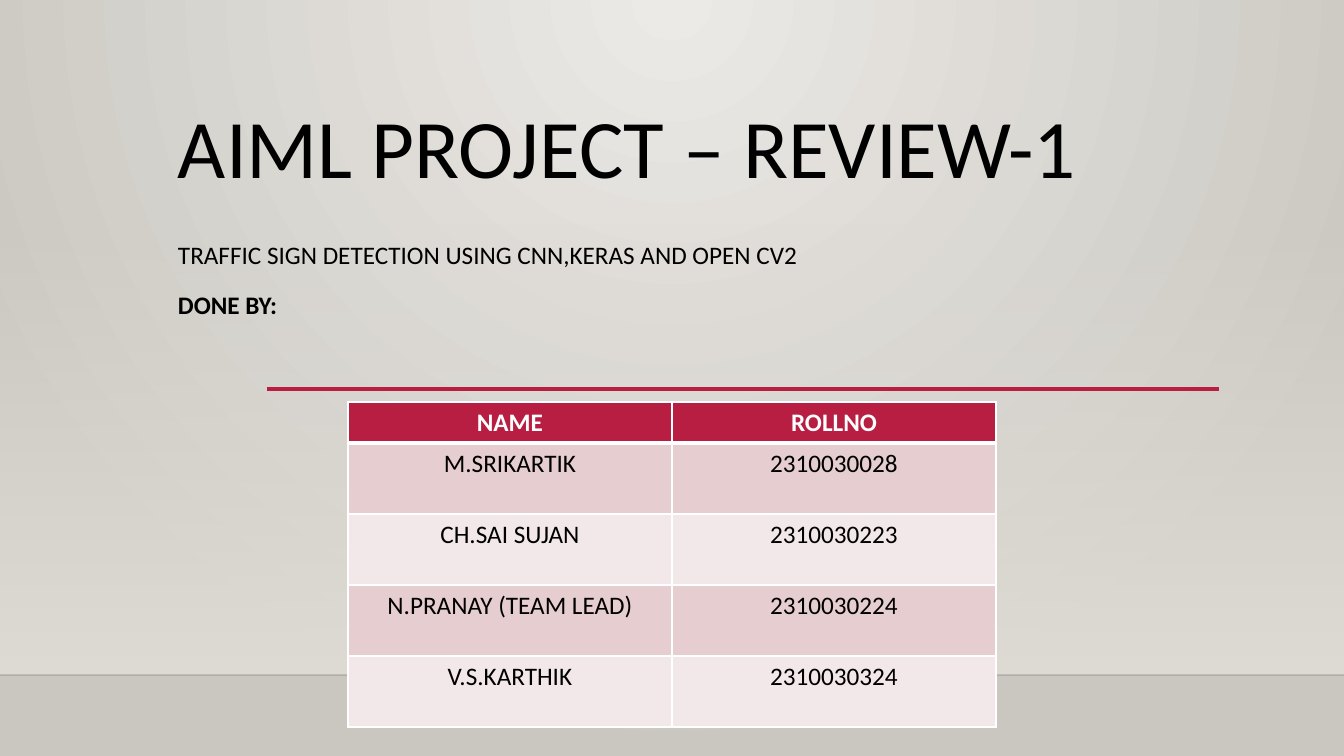
from lxml import etree
from pptx import Presentation
from pptx import util as u
from pptx.dml.color import RGBColor
from pptx.enum import shapes, text
from pptx.oxml import ns

PX = 914400 / 100.8
FONT = "Calibri"
BLACK, WHITE, CRIMSON = "000000", "FFFFFF", "B71E42"
BANDS = ("E6CDCF", "F3E8E9")
MEMBERS = [
    ("NAME", "ROLLNO"),
    ("M.SRIKARTIK", "2310030028"),
    ("CH.SAI SUJAN", "2310030223"),
    ("N.PRANAY (TEAM LEAD)", "2310030224"),
    ("V.S.KARTHIK", "2310030324"),
]


def px(length):
    return u.Emu(round(length * PX))


def rgb(hex_colour):
    return RGBColor.from_string(hex_colour)


def sub(parent, tag, **attributes):
    return etree.SubElement(parent, ns.qn(tag), **attributes)


def set_alpha(element, percent):
    """Make the first RGB colour inside the element partly transparent."""
    colour = next(element.iter(ns.qn("a:srgbClr")))
    sub(colour, "a:alpha", val=str(percent * 1000))


def set_gradient(fill, start, end):
    fill.gradient()
    for stop, (position, colour) in zip(fill.gradient_stops, ((0, start), (1, end))):
        stop.position = position
        stop.color.rgb = rgb(colour)


class ReviewSlide:
    """Holds the slide and the style shared by its elements."""

    def __init__(self, deck):
        self.slide = deck.slides.add_slide(deck.slide_layouts[0])
        self.shapes = self.slide.shapes

    def background(self, centre, edge):
        set_gradient(self.slide.background.fill, centre, edge)
        gradient = next(self.slide.element.iter(ns.qn("a:gradFill")))
        gradient.remove(gradient.find(ns.qn("a:lin")))
        circle = sub(gradient, "a:path", path="circle")
        sub(circle, "a:fillToRect", l="43000", t="0", r="43000", b="100000")

    def fading_wall(self, left, top, width, height, colour):
        """Rectangle that fades in from clear at its top."""
        wall = self.shapes.add_shape(
            shapes.MSO_SHAPE.RECTANGLE, *map(px, (left, top, width, height)))
        wall.shadow.inherit = False
        wall.line.fill.background()
        set_gradient(wall.fill, colour, colour)
        wall.fill.gradient_angle = 270
        set_alpha(wall.element.spPr, 0)

    def rule(self, left, right, y, colour, points, opacity=100):
        rule = self.shapes.add_connector(
            shapes.MSO_CONNECTOR.STRAIGHT, px(left), px(y), px(right), px(y))
        rule.line.color.rgb = rgb(colour)
        rule.line.width = u.Pt(points)
        if opacity < 100:
            set_alpha(rule.element.spPr, opacity)
        sub(rule.element.spPr, "a:effectLst")

    def style_runs(self, paragraph, size, colour=BLACK, bold=False):
        for run in paragraph.runs:
            run.font.name = FONT
            run.font.size = u.Pt(size)
            run.font.bold = bold
            run.font.color.rgb = rgb(colour)

    def placeholder(self, index, box, lines, size, spacing, before, anchor, insets):
        """Fill a placeholder with (wording, bold) lines and bring it to the front."""
        holder = self.slide.placeholders[index]
        holder.left, holder.top, holder.width, holder.height = map(px, box)
        frame = holder.text_frame
        frame.text = "\n".join(wording for wording, _ in lines)
        frame.word_wrap = True
        frame.auto_size = text.MSO_AUTO_SIZE.NONE
        frame.vertical_anchor = anchor
        frame.margin_left = frame.margin_right = px(10)
        frame.margin_top, frame.margin_bottom = map(px, insets)
        for paragraph, (_, bold) in zip(frame.paragraphs, lines):
            paragraph.alignment = text.PP_ALIGN.LEFT
            paragraph.line_spacing = spacing
            paragraph.space_before = u.Pt(before)
            self.style_runs(paragraph, size, bold=bold)
        holder.element.getparent().append(holder.element)

    def cell_borders(self, cell, top, bottom):
        properties = cell._tc.get_or_add_tcPr()
        for side, points in (("L", 1), ("R", 1), ("T", top), ("B", bottom)):
            line = sub(properties, f"a:ln{side}", w=str(u.Pt(points)))
            sub(sub(line, "a:solidFill"), "a:srgbClr", val=WHITE)

    def table(self, left, top, column, header, row, rows):
        columns = len(rows[0])
        height = header + row * (len(rows) - 1)
        members = self.shapes.add_table(
            len(rows), columns, px(left), px(top), px(column * columns), px(height)).table
        for table_column in members.columns:
            table_column.width = px(column)
        for r, values in enumerate(rows):
            is_header = r == 0
            members.rows[r].height = px(header if is_header else row)
            for c, value in enumerate(values):
                cell = members.cell(r, c)
                cell.text_frame.text = value
                paragraph = cell.text_frame.paragraphs[0]
                paragraph.alignment = text.PP_ALIGN.CENTER
                self.style_runs(paragraph, 18, WHITE if is_header else BLACK, is_header)
                self.cell_borders(cell, 3 if r == 1 else 1, 3 if is_header else 1)
                cell.fill.solid()
                cell.fill.fore_color.rgb = rgb(CRIMSON if is_header else BANDS[(r - 1) % 2])


def main():
    deck = Presentation()
    deck.slide_width, deck.slide_height = px(1344), px(756)
    review = ReviewSlide(deck)
    review.background("ECEAE7", "CAC7C1")
    review.fading_wall(0, 223, 1344, 452, "DFDBD5")
    review.rule(0, 1344, 675, "000001", 1, opacity=20)
    review.rule(267, 1219, 389, CRIMSON, 2.5)
    review.placeholder(0, (168, 44, 1008, 153), [("AIML PROJECT – REVIEW-1", False)],
                       59.4, 0.9, 0, text.MSO_ANCHOR.BOTTOM, (5, 0))
    review.placeholder(1, (168, 223, 1008, 144),
                       [("TRAFFIC SIGN DETECTION USING CNN,KERAS AND OPEN CV2", False),
                        ("DONE BY:", True)],
                       18, 1.2, 10, text.MSO_ANCHOR.TOP, (10, 10))
    review.table(348, 402, 324, 41, 71, MEMBERS)
    deck.save("out.pptx")


if __name__ == "__main__":
    main()
